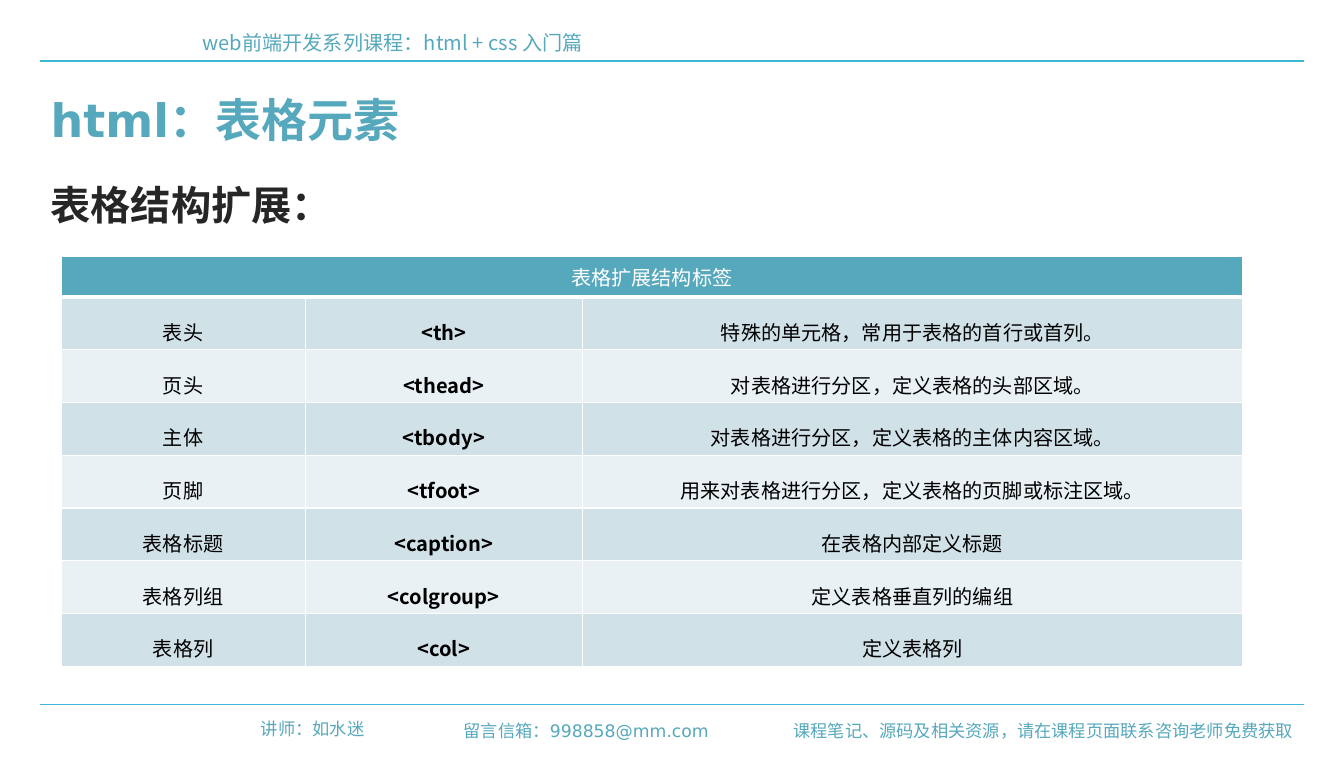
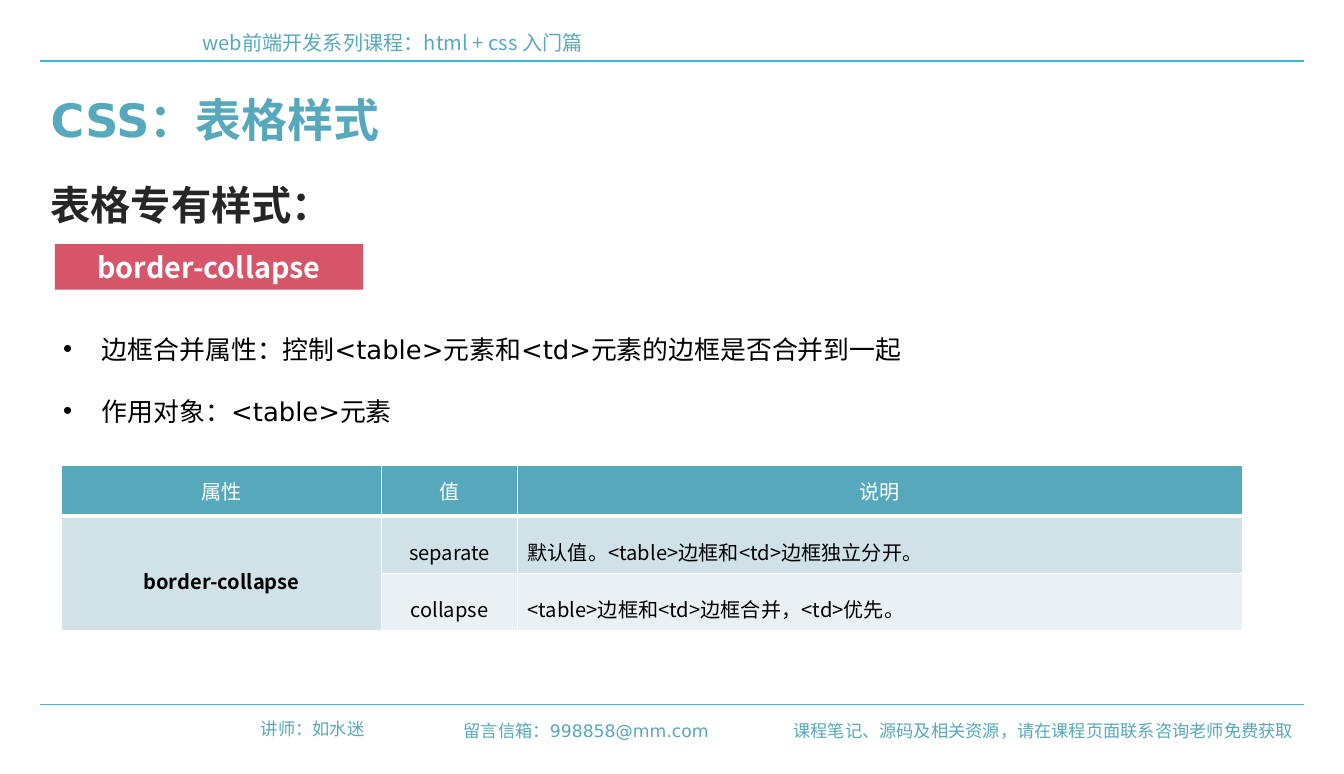
"""Build two course slides about HTML tables and CSS table styles."""
from lxml import etree
from pptx import Presentation
from pptx.dml.color import RGBColor
from pptx.enum import lang, shapes, text
from pptx.oxml import ns
from pptx import util as u

SCALE = 9144
INK = {
    "teal": "56A8BD", "rule": "3CB7D7", "dark": "262626", "black": "000000",
    "white": "FFFFFF", "red": "D75569", "odd": "D1E1E8", "even": "E9F1F4",
}
NOTO, DEJA = "Noto Sans CJK SC", "DejaVu Sans"
ALIGN = {
    "l": text.PP_ALIGN.LEFT, "c": text.PP_ALIGN.CENTER, "r": text.PP_ALIGN.RIGHT,
}
FOOT = (
    (224, 689, 138, "讲师：如水迷"),
    (429, 691, 266, "留言信箱：998858@mm.com"),
    (752, 691, 508, "课程笔记、源码及相关资源，请在课程页面联系咨询老师免费获取"),
)


def px(*vals):
    """Turn px lengths into EMU."""
    return [u.Emu(val * SCALE) for val in vals]


def hue(name):
    """Look up a colour by name."""
    return RGBColor.from_string(INK[name])


def write(para, words, size=14, face=NOTO, ink="black", bold=False, align="l", lead=None):
    """Put formatted words into a paragraph."""
    para.alignment = ALIGN[align]
    para.space_before = u.Pt(0)
    if lead:
        para.line_spacing = lead
    run = para.add_run()
    run.text = words
    font = run.font
    font.size, font.name, font.bold = u.Pt(size), face, bold
    font.color.rgb = hue(ink)
    font.language_id = lang.MSO_LANGUAGE_ID.SIMPLIFIED_CHINESE
    east = etree.SubElement(run._r.get_or_add_rPr(), ns.qn("a:ea"))
    east.set("typeface", face)


def edge(cell, **widths):
    """Draw white cell borders, widths in points by side."""
    props = cell._tc.get_or_add_tcPr()
    for spot, side in enumerate("LRTB"):
        line = etree.Element(ns.qn("a:ln" + side), w=str(u.Pt(widths.get(side, 1))))
        fill = etree.SubElement(line, ns.qn("a:solidFill"))
        etree.SubElement(fill, ns.qn("a:srgbClr"), val=INK["white"])
        props.insert(spot, line)


class Deck:
    """Hold the style and the current slide."""

    def __init__(self):
        """Open a wide, empty deck."""
        self.prs = Presentation()
        self.prs.slide_width, self.prs.slide_height = px(1299, 748)
        self.slide = None

    def page(self, title, head, layout):
        """Start a slide with title, heading, rules and footers."""
        self.slide = self.prs.slides.add_slide(self.prs.slide_layouts[layout])
        for y in (59, 681):
            self.rule(39, y, 1260)
        self.label(186, 24, 1051, 34, "web前端开发系列课程：html + css 入门篇", ink="teal")
        for x, y, w, words in FOOT:
            self.label(x, y, w, 30, words, size=12, face=DEJA, ink="teal", align="r")
        frame = self.seat(self.slide.shapes.title, 39, 83, 1220, 64)
        write(frame.paragraphs[0], title, size=32, face=DEJA, ink="teal", bold=True)
        self.label(39, 169, 665, 57, head, size=28, ink="dark", bold=True)

    def rule(self, x, y, end):
        """Draw a thin level line."""
        kind = shapes.MSO_CONNECTOR.STRAIGHT
        line = self.slide.shapes.add_connector(kind, *px(x, y, end, y))
        line.line.color.rgb, line.line.width = hue("rule"), u.Pt(0.75)
        etree.SubElement(line._element.spPr, ns.qn("a:effectLst"))

    def label(self, x, y, w, h, words, **form):
        """Add one line of text in a box."""
        frame = self.slide.shapes.add_textbox(*px(x, y, w, h)).text_frame
        frame.word_wrap = True
        write(frame.paragraphs[0], words, **form)

    def seat(self, holder, x, y, w, h):
        """Move a placeholder and return its frame."""
        holder.left, holder.top, holder.width, holder.height = px(x, y, w, h)
        frame = holder.text_frame
        frame.auto_size = text.MSO_AUTO_SIZE.NONE
        frame.vertical_anchor = text.MSO_ANCHOR.TOP
        return frame

    def list(self, x, y, w, h, items):
        """Fill the body placeholder with bullets."""
        frame = self.seat(self.slide.placeholders[1], x, y, w, h)
        for spot, words in enumerate(items):
            para = frame.add_paragraph() if spot else frame.paragraphs[0]
            write(para, words, size=18, face=DEJA, lead=2.0)

    def tag(self, x, y, w, h, words):
        """Add a red name tag."""
        kind = shapes.MSO_SHAPE.RECTANGLE
        box = self.slide.shapes.add_shape(kind, *px(x, y, w, h))
        box.shadow.inherit = False
        box.fill.solid()
        box.fill.fore_color.rgb = hue("red")
        box.line.fill.background()
        para = box.text_frame.paragraphs[0]
        write(para, words, size=20, ink="white", bold=True, align="c")

    def table(self, x, y, cols, top, step, data, strong, left=None, merge=None):
        """Add a banded table; strong and left are column numbers."""
        highs = [top] + [step] * (len(data) - 1)
        size = px(x, y, sum(cols), sum(highs))
        grid = self.slide.shapes.add_table(len(data), len(cols), *size).table
        for col, wide in zip(grid.columns, px(*cols)):
            col.width = wide
        for row, high in zip(grid.rows, px(*highs)):
            row.height = high
        for r, line in enumerate(data):
            for c, words in enumerate(line):
                cell = grid.cell(r, c)
                cell.vertical_anchor = text.MSO_ANCHOR.MIDDLE
                cell.fill.solid()
                band = "odd" if r % 2 else "even"
                cell.fill.fore_color.rgb = hue(band if r else "teal")
                edge(cell, T=3 if r == 1 else 1, B=1 if r else 3)
                if words:
                    write(cell.text_frame.paragraphs[0], words,
                          ink="black" if r else "white",
                          bold=r > 0 and c == strong,
                          align="l" if r and c == left else "c",
                          lead=1.5 if r else None)
        if merge:
            start, end = merge
            grid.cell(*start).merge(grid.cell(*end))


def main():
    """Build and save the slides."""
    deck = Deck()
    deck.page("html：表格元素", "表格结构扩展：", layout=5)
    deck.table(59, 248, (236, 268, 638), 39, 51, (
        ("表格扩展结构标签", "", ""),
        ("表头", "<th>", "特殊的单元格，常用于表格的首行或首列。"),
        ("页头", "<thead>", "对表格进行分区，定义表格的头部区域。"),
        ("主体", "<tbody>", "对表格进行分区，定义表格的主体内容区域。"),
        ("页脚", "<tfoot>", "用来对表格进行分区，定义表格的页脚或标注区域。"),
        ("表格标题", "<caption>", "在表格内部定义标题"),
        ("表格列组", "<colgroup>", "定义表格垂直列的编组"),
        ("表格列", "<col>", "定义表格列"),
    ), strong=1, merge=((0, 0), (0, 2)))

    deck.page("CSS：表格样式", "表格专有样式：", layout=1)
    deck.table(59, 450, (310, 131, 701), 49, 55, (
        ("属性", "值", "说明"),
        ("border-collapse", "separate", "默认值。<table>边框和<td>边框独立分开。"),
        ("", "collapse", "<table>边框和<td>边框合并，<td>优先。"),
    ), strong=0, left=2, merge=((1, 0), (2, 0)))
    deck.list(51, 287, 976, 131, (
        "边框合并属性：控制<table>元素和<td>元素的边框是否合并到一起",
        "作用对象：<table>元素",
    ))
    deck.tag(53, 236, 298, 44, "border-collapse")
    deck.prs.save("out.pptx")


if __name__ == "__main__":
    main()
